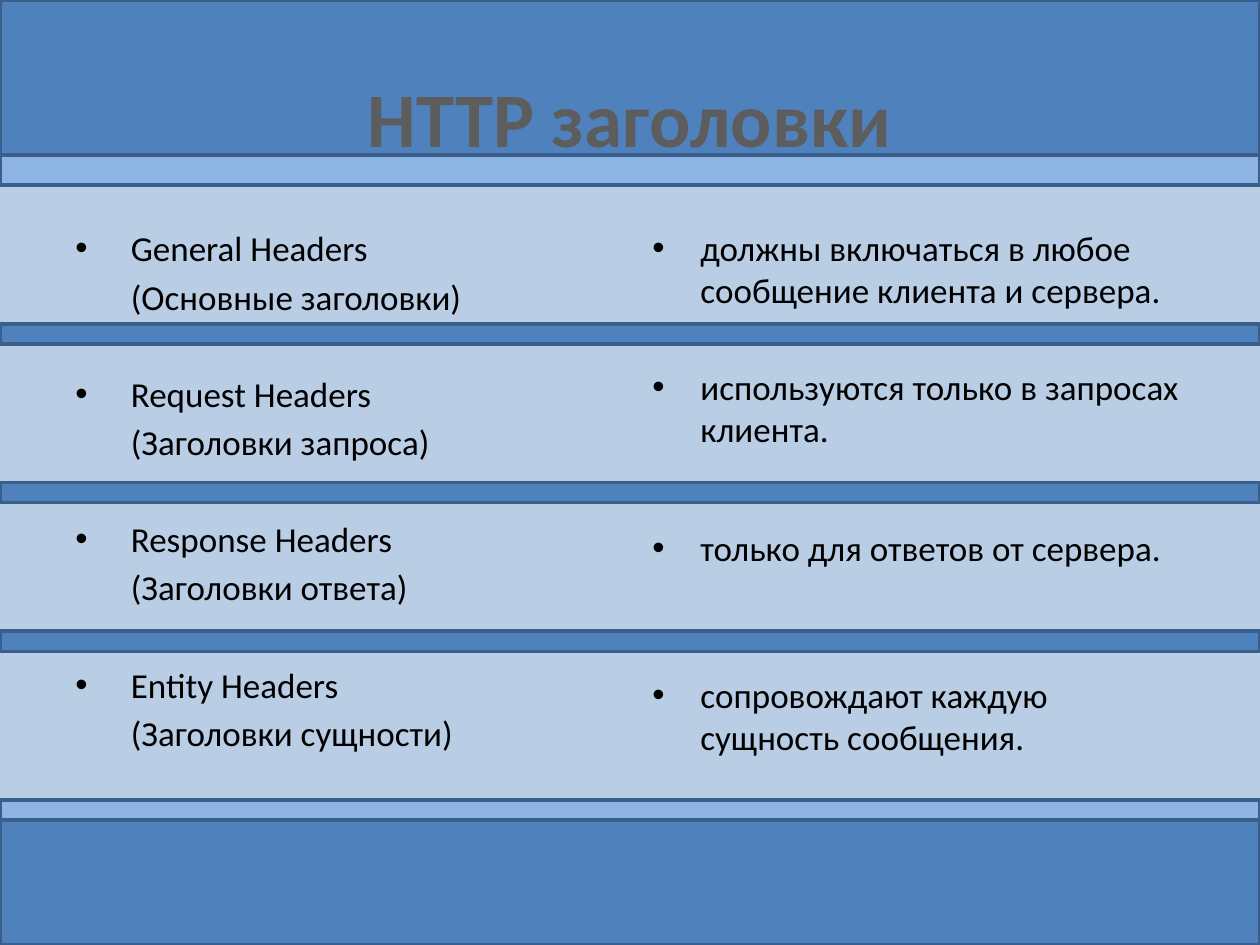
import pptx
import pptx.dml.color
import pptx.enum.shapes
import pptx.enum.text
import pptx.util
from lxml import etree

RGB = pptx.dml.color.RGBColor
PALE = RGB(0xB9, 0xCD, 0xE5)
BLUE = RGB(0x4F, 0x81, 0xBD)
LIGHT = RGB(0x8E, 0xB4, 0xE3)
EDGE = RGB(0x3A, 0x5F, 0x8C)
GRAY = RGB(0x5D, 0x5D, 0x5D)
BLACK = RGB(0, 0, 0)

Inches = pptx.util.Inches
Pt = pptx.util.Pt
ANCHOR = pptx.enum.text.MSO_ANCHOR
ALIGN = pptx.enum.text.PP_ALIGN

WIDTH, HEIGHT = 10, 7.5
MARGIN = 0.05 * WIDTH
GUTTER = 0.16
COLUMN = (WIDTH - 2 * MARGIN - GUTTER) / 2
BODY_TOP, BODY_HEIGHT = 1.75, 4.95
BAND = 0.16

BANDS = [
    (0, 1.47, BLUE),
    (1.23, 0.24, LIGHT),
    (2.57, BAND, BLUE),
    (3.83, BAND, BLUE),
    (5.01, BAND, BLUE),
    (6.35, BAND, LIGHT),
    (6.51, HEIGHT - 6.51, BLUE),
]
HEADERS = [
    ("General Headers", "(Основные заголовки)"),
    ("Request Headers", "(Заголовки запроса)"),
    ("Response Headers", "(Заголовки ответа)"),
    ("Entity Headers", "(Заголовки сущности)"),
]
USES = [
    ("должны включаться в любое сообщение клиента и сервера.", 0),
    ("используются только в запросах клиента.", 31.5),
    ("только для ответов от сервера.", 44),
    ("сопровождают каждую сущность сообщения.", 59.5),
]


def add_band(slide, top, height, color):
    band = slide.shapes.add_shape(
        pptx.enum.shapes.MSO_SHAPE.RECTANGLE,
        0, Inches(top), Inches(WIDTH), Inches(height),
    )
    band.shadow.inherit = False
    band.fill.solid()
    band.fill.fore_color.rgb = color
    band.line.color.rgb = EDGE
    band.line.width = Pt(2)


def add_frame(slide, left, top, width, height, anchor=ANCHOR.TOP):
    frame = slide.shapes.add_textbox(
        Inches(left), Inches(top), Inches(width), Inches(height)
    ).text_frame
    frame.word_wrap = True
    frame.vertical_anchor = anchor
    return frame


def write(frame, text, size=20, color=BLACK, bold=False, align=ALIGN.LEFT,
          before=0, indent=0, bullet=False):
    first = frame.paragraphs[0]
    paragraph = frame.add_paragraph() if first.runs else first
    paragraph.alignment = align
    paragraph.space_before = Pt(before)
    run = paragraph.add_run()
    run.text = text
    run.font.name = "Calibri"
    run.font.size = Pt(size)
    run.font.bold = bold
    run.font.color.rgb = color
    properties = paragraph._p.get_or_add_pPr()
    properties.set("marL", str(Inches(indent)))
    if bullet:
        properties.set("indent", str(-Inches(indent)))
        font = etree.SubElement(properties, pptx.oxml.ns.qn("a:buFont"))
        font.set("typeface", "Arial")
        mark = etree.SubElement(properties, pptx.oxml.ns.qn("a:buChar"))
        mark.set("char", "•")


def main():
    deck = pptx.Presentation()
    deck.slide_width = Inches(WIDTH)
    deck.slide_height = Inches(HEIGHT)
    slide = deck.slides.add_slide(deck.slide_layouts[6])
    slide.background.fill.solid()
    slide.background.fill.fore_color.rgb = PALE

    for top, height, color in BANDS:
        add_band(slide, top, height, color)

    title = add_frame(slide, MARGIN, 0.3, WIDTH - 2 * MARGIN, 1.25, ANCHOR.MIDDLE)
    write(title, "HTTP заголовки", size=44, color=GRAY, bold=True, align=ALIGN.CENTER)

    names = add_frame(slide, MARGIN, BODY_TOP, COLUMN, BODY_HEIGHT)
    for row, (name, translation) in enumerate(HEADERS):
        write(names, name, before=31.5 if row else 0, indent=0.44, bullet=True)
        write(names, translation, before=3.6, indent=0.44)

    uses = add_frame(slide, MARGIN + COLUMN + GUTTER, BODY_TOP, COLUMN, BODY_HEIGHT)
    for use, before in USES:
        write(uses, use, before=before, indent=0.38, bullet=True)

    deck.save("out.pptx")


if __name__ == "__main__":
    main()
